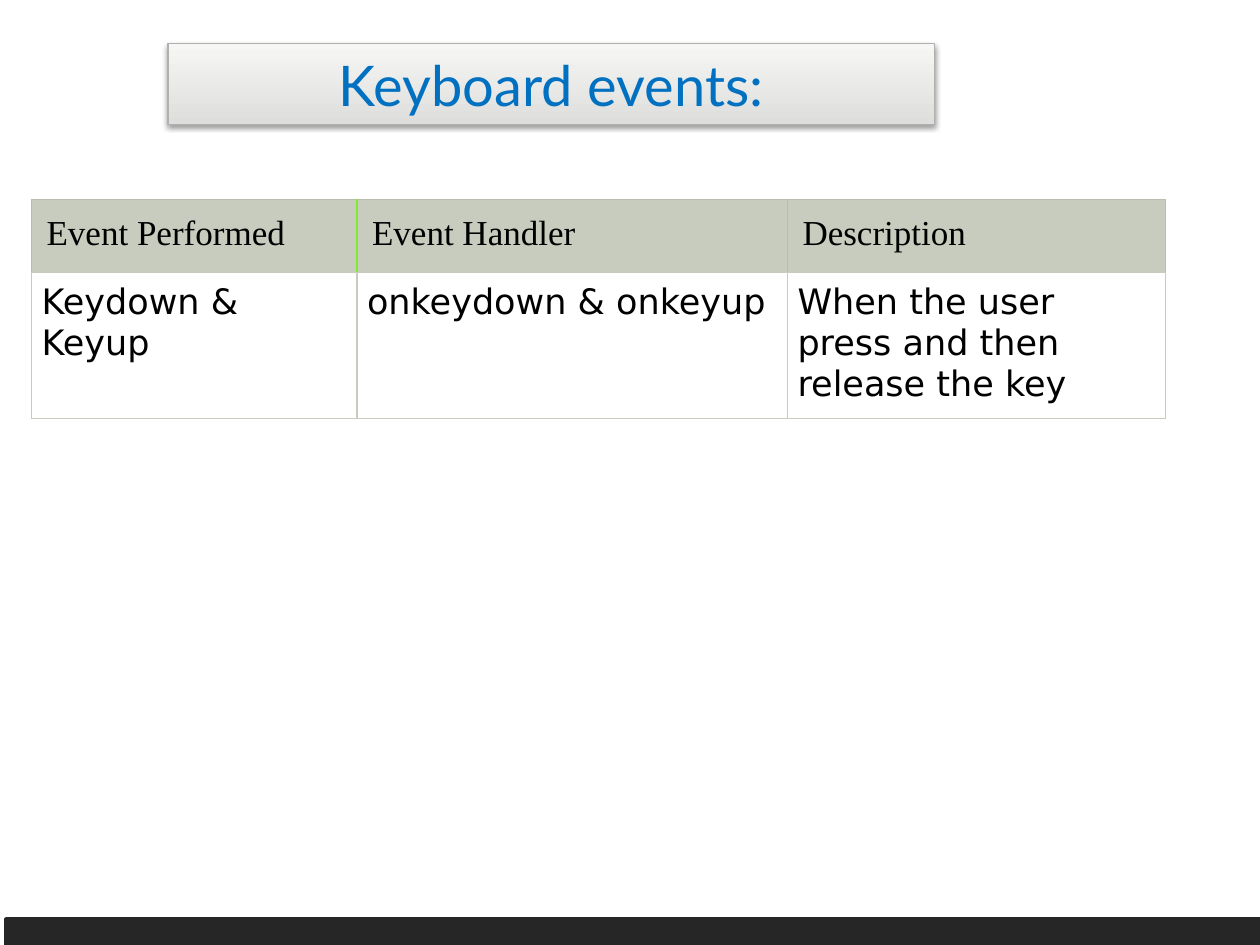
from dataclasses import dataclass

from lxml import etree
from pptx import Presentation
from pptx.dml.color import RGBColor
from pptx.enum.shapes import MSO_SHAPE
from pptx.enum.text import MSO_ANCHOR, PP_ALIGN
from pptx.oxml import parse_xml
from pptx.oxml.ns import nsdecls, qn
from pptx.util import Pt

RECTANGLE = MSO_SHAPE.RECTANGLE
MIDDLE = MSO_ANCHOR.MIDDLE
TOP = MSO_ANCHOR.TOP
CENTER = PP_ALIGN.CENTER
TITLE_ONLY = 5


@dataclass(frozen=True)
class Theme:
    title: str = "0070C0"
    panel_bottom: str = "DEDEDD"
    panel_top: str = "F6F6F5"
    panel_line: str = "B0B0AF"
    text: str = "000000"
    header: str = "C7CCBE"
    header_line: str = "B8BDAF"
    body: str = "FFFFFF"
    accent: str = "80EA2D"
    footer: str = "262626"
    title_font: str = "Lato"
    header_font: str = "Times New Roman"
    body_font: str = "DejaVu Sans"
    title_size: int = 32
    table_size: int = 20
    thin: float = 0.75


THEME = Theme()

COLUMN_WIDTHS = (186, 246, 216)
ROW_HEIGHTS = (41.5, 83.5)
EVENTS = (
    ("Event Performed", "Event Handler", "Description"),
    ("Keydown & Keyup", "onkeydown & onkeyup",
     "When the user press and then release the key"),
)


def rgb(color):
    return RGBColor.from_string(color)


def format_text(paragraph, font, size, color):
    paragraph.font.name = font
    paragraph.font.size = Pt(size)
    paragraph.font.color.rgb = rgb(color)


def add_soft_shadow(shape):
    shape._element.spPr.append(parse_xml(
        f'<a:effectLst {nsdecls("a")}>'
        f'<a:outerShdw blurRad="{Pt(3.1)}" dist="{Pt(1.6)}" dir="5400000" '
        'rotWithShape="0"><a:srgbClr val="000000"><a:alpha val="38000"/>'
        '</a:srgbClr></a:outerShdw></a:effectLst>'))


def set_title(slide, wording):
    title = slide.shapes.title
    title.left, title.top, title.width, title.height = (
        Pt(96), Pt(25), Pt(438), Pt(46))

    # Grey panel, darker at the bottom
    title.fill.gradient()
    title.fill.gradient_angle = 90
    shades = (THEME.panel_bottom, THEME.panel_top)
    for stop, shade, position in zip(title.fill.gradient_stops, shades, (0, 1)):
        stop.color.rgb = rgb(shade)
        stop.position = position
    title.line.color.rgb = rgb(THEME.panel_line)
    title.line.width = Pt(THEME.thin)
    add_soft_shadow(title)

    title.text_frame.text = wording
    title.text_frame.vertical_anchor = MIDDLE
    heading = title.text_frame.paragraphs[0]
    heading.alignment = CENTER
    format_text(heading, THEME.title_font, THEME.title_size, THEME.title)


def set_borders(cell, left, right, top, bottom):
    properties = cell._tc.get_or_add_tcPr()
    for side, color in zip("LRTB", (left, right, top, bottom)):
        border = etree.SubElement(properties, qn(f"a:ln{side}"),
                                  w=str(Pt(THEME.thin)))
        fill = etree.SubElement(border, qn("a:solidFill"))
        etree.SubElement(fill, qn("a:srgbClr"), val=color)


def format_cell(cell, wording, fill, font, inset):
    cell.fill.solid()
    cell.fill.fore_color.rgb = rgb(fill)
    cell.margin_left = cell.margin_right = Pt(inset)
    cell.margin_top = cell.margin_bottom = Pt(inset)
    cell.vertical_anchor = TOP
    cell.text_frame.text = wording
    format_text(cell.text_frame.paragraphs[0], font, THEME.table_size, THEME.text)


def add_event_table(slide):
    table = slide.shapes.add_table(
        len(ROW_HEIGHTS), len(COLUMN_WIDTHS), Pt(18), Pt(114),
        Pt(sum(COLUMN_WIDTHS)), Pt(sum(ROW_HEIGHTS))).table
    table.horz_banding = False
    for column, width in zip(table.columns, COLUMN_WIDTHS):
        column.width = Pt(width)
    for row, height in zip(table.rows, ROW_HEIGHTS):
        row.height = Pt(height)

    # Header row, with an accent line after the first column
    edge = THEME.header_line
    for index, wording in enumerate(EVENTS[0]):
        cell = table.cell(0, index)
        set_borders(cell,
                    left=THEME.accent if index == 1 else edge,
                    right=THEME.accent if index == 0 else edge,
                    top=edge, bottom=THEME.header)
        format_cell(cell, wording, THEME.header, THEME.header_font, 8.64)

    # Event row
    for index, wording in enumerate(EVENTS[1]):
        cell = table.cell(1, index)
        set_borders(cell, *[THEME.header] * 4)
        format_cell(cell, wording, THEME.body, THEME.body_font, 5.76)


def add_footer_bar(slide):
    bar = slide.shapes.add_shape(RECTANGLE, Pt(3.6), Pt(525), Pt(720), Pt(30))
    bar.shadow.inherit = False
    bar.fill.solid()
    bar.fill.fore_color.rgb = rgb(THEME.footer)
    bar.line.color.rgb = rgb(THEME.footer)
    bar.line.width = Pt(2)


def main():
    presentation = Presentation()
    presentation.slide_width = Pt(720)
    presentation.slide_height = Pt(540)
    slide = presentation.slides.add_slide(presentation.slide_layouts[TITLE_ONLY])

    set_title(slide, "Keyboard events:")
    add_event_table(slide)
    add_footer_bar(slide)

    presentation.save("out.pptx")


if __name__ == "__main__":
    main()
